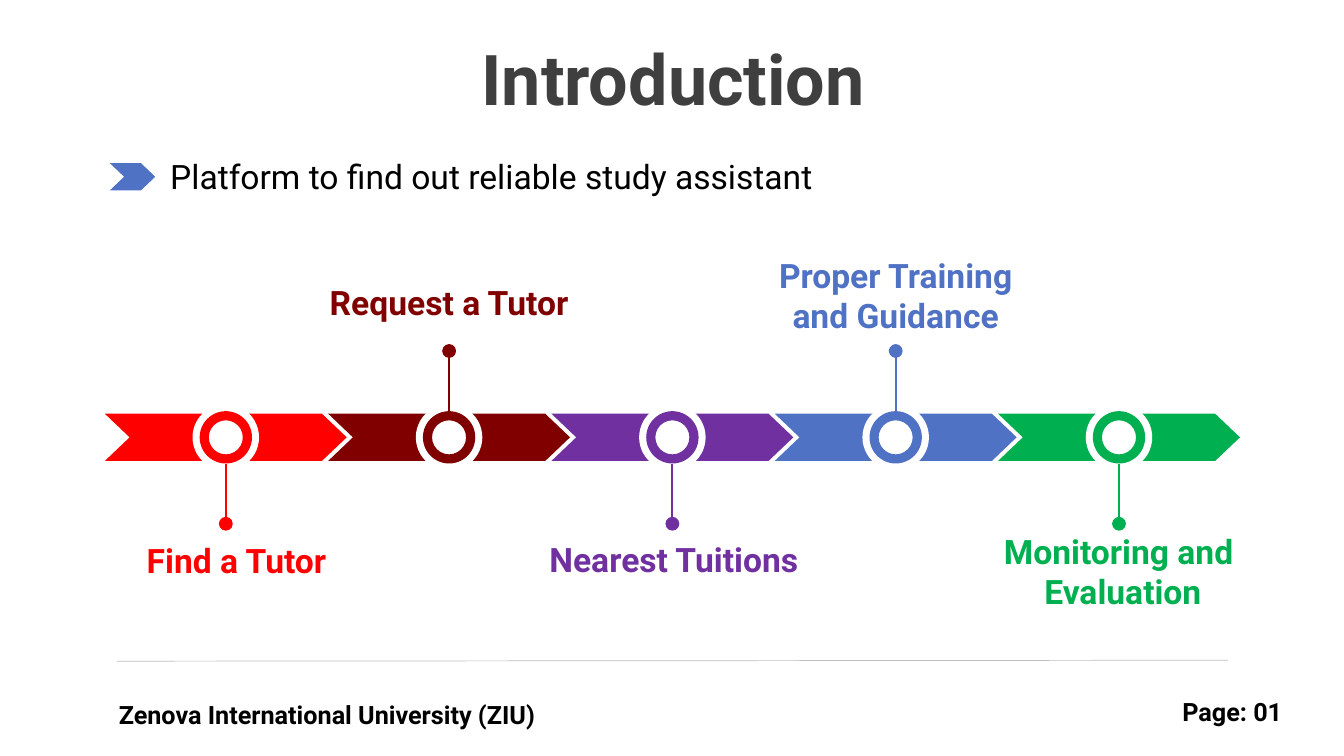
from dataclasses import dataclass

from lxml.etree import SubElement
from pptx import Presentation
from pptx.dml.color import RGBColor
from pptx.enum.shapes import MSO_CONNECTOR, MSO_SHAPE
from pptx.enum.text import MSO_ANCHOR, PP_ALIGN
from pptx.oxml.ns import qn
from pptx.shapes.autoshape import Shape
from pptx.slide import Slide
from pptx.util import Pt

FONT = "Roboto"
WHITE = RGBColor(0xFF, 0xFF, 0xFF)
BLACK = RGBColor(0x00, 0x00, 0x00)
CHARCOAL = RGBColor(0x3F, 0x3F, 0x3F)
SILVER = RGBColor(0xBF, 0xBF, 0xBF)
RED = RGBColor(0xFF, 0x00, 0x00)
MAROON = RGBColor(0x80, 0x00, 0x00)
PURPLE = RGBColor(0x70, 0x30, 0xA0)
BLUE = RGBColor(0x50, 0x72, 0xC4)
GREEN = RGBColor(0x00, 0xB0, 0x50)

STEP_PITCH = 159.5
FIRST_CENTER = 161.3
AXIS_Y = 312.4
ARROW_LEFT = 74.9
ARROW_WIDTH = 172.8
ARROW_HEIGHT = 33.8
HALO_SIZE = 47.5
RING_SIZE = 37.4
STEM_LENGTH = 43
CHEVRON_POINT = 0.525
RING_THICKNESS = 0.175


@dataclass(frozen=True)
class Box:
    left: float
    top: float
    width: float
    height: float


@dataclass(frozen=True)
class Step:
    label: str
    color: RGBColor
    label_box: Box
    points_up: bool


STEPS = [
    Step("Find a Tutor", RED, Box(74.2, 382.3, 189.4, 36), False),
    Step("Request a Tutor", MAROON, Box(213.1, 198, 215.3, 36), True),
    Step("Nearest Tuitions", PURPLE, Box(374.4, 381.6, 213.8, 36), False),
    Step("Proper Training and Guidance", BLUE, Box(532.1, 178.6, 215.3, 65.5), True),
    Step("Monitoring and \nEvaluation", GREEN, Box(699.1, 375.8, 205.9, 65.5), False),
]


def add_text(
    page: Slide,
    text: str,
    box: Box,
    *,
    size: float = 24,
    color: RGBColor = BLACK,
    bold: bool = True,
    align: PP_ALIGN = PP_ALIGN.CENTER,
    anchor: MSO_ANCHOR = MSO_ANCHOR.MIDDLE,
) -> None:
    frame = page.shapes.add_textbox(
        Pt(box.left), Pt(box.top), Pt(box.width), Pt(box.height)
    ).text_frame
    frame.word_wrap = True
    frame.vertical_anchor = anchor
    for index, line in enumerate(text.split("\n")):
        para = frame.add_paragraph() if index else frame.paragraphs[0]
        para.alignment = align
        span = para.add_run()
        span.text = line
        span.font.name = FONT
        span.font.size = Pt(size)
        span.font.bold = bold
        span.font.color.rgb = color


def add_filled(page: Slide, kind: MSO_SHAPE, box: Box, color: RGBColor) -> Shape:
    shape = page.shapes.add_shape(
        kind, Pt(box.left), Pt(box.top), Pt(box.width), Pt(box.height)
    )
    shape.shadow.inherit = False
    shape.fill.solid()
    shape.fill.fore_color.rgb = color
    shape.line.fill.background()
    return shape


def add_chevron(page: Slide, box: Box, color: RGBColor) -> None:
    add_filled(page, MSO_SHAPE.CHEVRON, box, color).adjustments[0] = CHEVRON_POINT


def add_line(
    page: Slide,
    start: tuple[float, float],
    end: tuple[float, float],
    color: RGBColor,
    width: float,
    dot_end: bool = False,
) -> None:
    connector = page.shapes.add_connector(
        MSO_CONNECTOR.STRAIGHT, Pt(start[0]), Pt(start[1]), Pt(end[0]), Pt(end[1])
    )
    connector.line.color.rgb = color
    connector.line.width = Pt(width)
    if dot_end:
        SubElement(connector.line._get_or_add_ln(), qn("a:tailEnd"), type="oval",
                   w="lg", len="lg")
    SubElement(connector._element.spPr, qn("a:effectLst"))


def centered_square(x: float, y: float, size: float) -> Box:
    return Box(x - size / 2, y - size / 2, size, size)


def add_marker(page: Slide, step: Step, center: float) -> None:
    add_filled(page, MSO_SHAPE.OVAL, centered_square(center, AXIS_Y, HALO_SIZE), WHITE)
    ring = add_filled(
        page, MSO_SHAPE.DONUT, centered_square(center, AXIS_Y, RING_SIZE), step.color
    )
    ring.adjustments[0] = RING_THICKNESS
    direction = -1 if step.points_up else 1
    stem_start = AXIS_Y + direction * RING_SIZE / 2
    stem_end = stem_start + direction * STEM_LENGTH
    add_line(page, (center, stem_start), (center, stem_end), step.color, 1.5, dot_end=True)


def add_timeline(page: Slide) -> None:
    for index, step in enumerate(STEPS):
        offset = index * STEP_PITCH
        arrow = Box(
            ARROW_LEFT + offset, AXIS_Y - ARROW_HEIGHT / 2, ARROW_WIDTH, ARROW_HEIGHT
        )
        add_chevron(page, arrow, step.color)
        add_marker(page, step, FIRST_CENTER + offset)
        add_text(page, step.label, step.label_box, color=step.color, anchor=MSO_ANCHOR.TOP)


def main() -> None:
    deck = Presentation()
    deck.slide_width = Pt(960)
    deck.slide_height = Pt(540)
    page = deck.slides.add_slide(deck.slide_layouts[6])

    add_text(page, "Introduction", Box(25.2, 26.6, 911.5, 56.9), size=50, color=CHARCOAL)
    add_chevron(page, Box(78.5, 116.6, 32.4, 19.4), BLUE)
    add_text(page, "Platform to find out reliable study assistant",
             Box(114.5, 108, 506.2, 36), bold=False, align=PP_ALIGN.LEFT)
    add_timeline(page)
    add_line(page, (83.5, 472.3), (877, 471.6), SILVER, 0.5)
    add_text(page, "Zenova International University (ZIU)",
             Box(14.4, 496.1, 375, 28.8), size=18, align=PP_ALIGN.RIGHT)
    add_text(page, "Page: 01", Box(833, 493.9, 90, 28.8), size=18, align=PP_ALIGN.RIGHT)

    deck.save("out.pptx")


if __name__ == "__main__":
    main()
